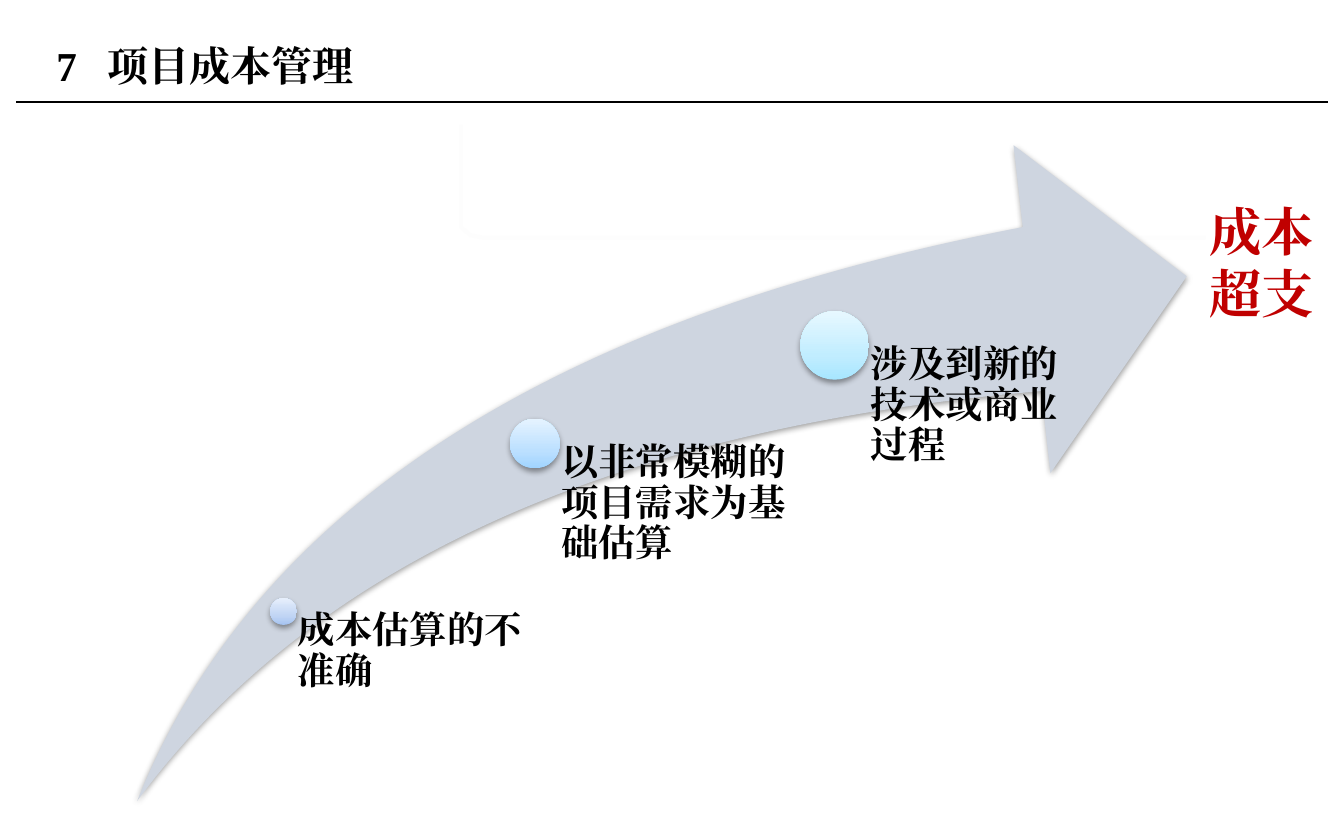
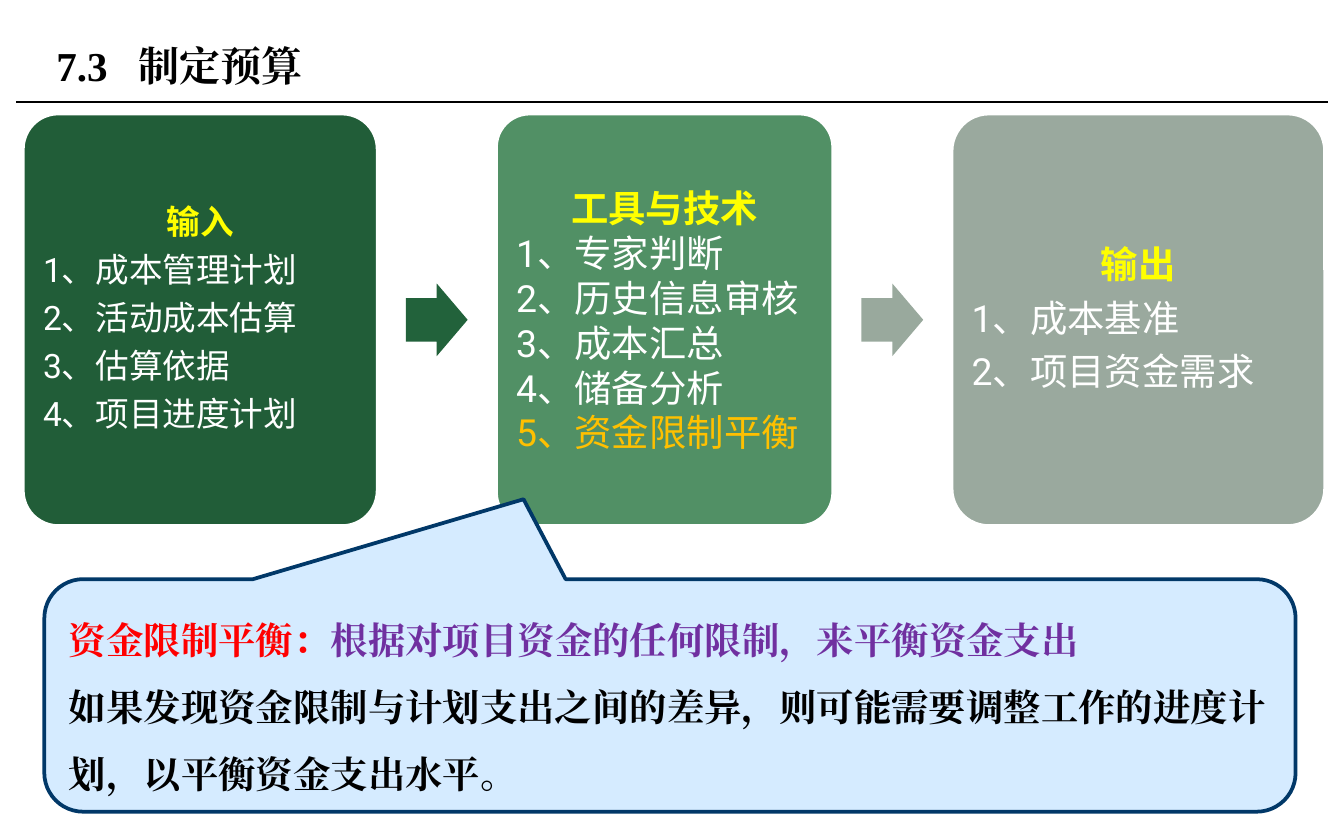
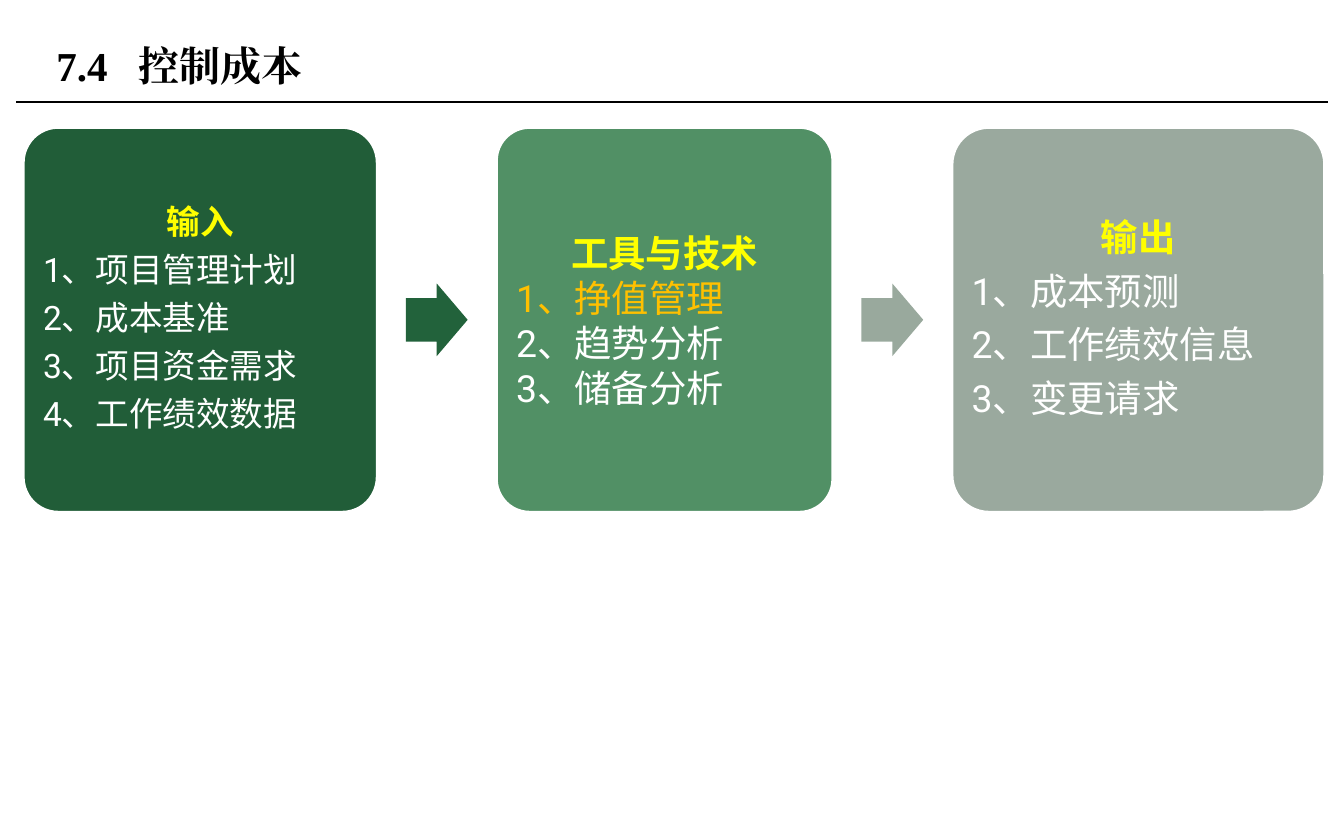
"""Build three slides on project cost management."""
from copy import deepcopy
from dataclasses import dataclass

from lxml.etree import SubElement
from pptx import Presentation
from pptx.dml.color import RGBColor
from pptx.enum.lang import MSO_LANGUAGE_ID
from pptx.enum.shapes import MSO_CONNECTOR, MSO_SHAPE
from pptx.enum.text import MSO_ANCHOR, PP_ALIGN
from pptx.oxml.ns import qn
from pptx.util import Inches, Pt

COLUMNS, ROWS = 100, 62.5
WIDTH, HEIGHT = Inches(10), Inches(6.25)


@dataclass(frozen=True)
class Theme:
    """Colours, fonts and type sizes of the presentation."""
    ink: str = "000000"
    paper: str = "FFFFFF"
    heading: str = "FFFF00"
    highlight: str = "FFC000"
    result: str = "C00000"
    term: str = "FF0000"
    definition: str = "7030A0"
    swoosh: str = "CED5E0"
    faint: str = "FDFDFD"
    callout: str = "D5EBFF"
    callout_line: str = "013868"
    panels: tuple = ("215D38", "519065", "9AA99E")
    arrows: tuple = ("22623B", "99A99D")
    serif: str = "Times New Roman"
    sans: str = "Roboto"
    title_size: int = 22
    text_size: int = 20
    small_size: int = 18
    result_size: int = 28


@dataclass(frozen=True)
class Panel:
    """Width and type setting of one panel in a process."""
    width: float
    size: int
    line_spacing: float
    space_share: float


THEME = Theme()
PANELS = (
    Panel(26.4, THEME.small_size, 0.9, 0.35),
    Panel(25.1, THEME.text_size, 1, 0),
    Panel(27.8, THEME.text_size, 0.9, 0.35),
)


class Deck:
    """Holds the style and the current slide, and draws on a grid."""

    def __init__(self, theme):
        """Start an empty presentation."""
        self.theme = theme
        self.presentation = Presentation()
        self.presentation.slide_width = WIDTH
        self.presentation.slide_height = HEIGHT
        self.slide = None

    def place(self, left, top, width, height):
        """Turn columns and rows into lengths."""
        return (int(left * WIDTH / COLUMNS), int(top * HEIGHT / ROWS),
                int(width * WIDTH / COLUMNS), int(height * HEIGHT / ROWS))

    def start(self, number, name, tab):
        """Add a slide with its numbered title and rule."""
        layout = self.presentation.slide_layouts[5]
        self.slide = self.presentation.slides.add_slide(layout)
        self.rule(1.2, 98.8, 7.6)
        title = self.slide.shapes.title
        title.left, title.top, title.width, title.height = self.place(3.2, 1.3, 63.8, 7.1)
        frame = title.text_frame
        frame.vertical_anchor = MSO_ANCHOR.MIDDLE
        tabs = SubElement(frame.paragraphs[0]._p.get_or_add_pPr(), qn("a:tabLst"))
        SubElement(tabs, qn("a:tab"), pos=str(Inches(tab)), algn="l")
        self.paragraph(frame, [(f"{number}\t{name}", self.theme.ink, True)],
                       self.theme.title_size)

    def rule(self, left, right, top):
        """Draw a thin horizontal line."""
        x, y, length, _ = self.place(left, top, right - left, 0)
        line = self.slide.shapes.add_connector(MSO_CONNECTOR.STRAIGHT, x, y, x + length, y)
        line.line.color.rgb = RGBColor.from_string(self.theme.ink)
        line.line.width = Pt(0.75)
        SubElement(line._element.spPr, qn("a:effectLst"))

    def outline(self, points, color, width):
        """Draw an open line through grid points."""
        corners = [self.place(x, y, 0, 0)[:2] for x, y in points]
        builder = self.slide.shapes.build_freeform(*corners[0])
        builder.add_line_segments(corners[1:], close=False)
        shape = builder.convert_to_shape()
        shape.shadow.inherit = False
        shape.fill.background()
        shape.line.color.rgb = RGBColor.from_string(color)
        shape.line.width = Pt(width)

    def shape(self, kind, box, fill, line=None, adjustments=()):
        """Draw a preset shape with a flat fill."""
        shape = self.slide.shapes.add_shape(kind, *self.place(*box))
        shape.shadow.inherit = False
        for index, value in enumerate(adjustments):
            shape.adjustments[index] = value
        shape.fill.solid()
        shape.fill.fore_color.rgb = RGBColor.from_string(fill)
        if line:
            shape.line.color.rgb = RGBColor.from_string(line)
            shape.line.width = Pt(2)
        else:
            shape.line.fill.background()
        return shape

    def soft_shadow(self, shape):
        """Give a shape a soft shadow below it."""
        effects = shape._element.spPr.find(qn("a:effectLst"))
        shadow = SubElement(effects, qn("a:outerShdw"), blurRad=str(Pt(3.1)),
                            dist=str(Pt(1.6)), dir="5400000", rotWithShape="0")
        color = SubElement(shadow, qn("a:srgbClr"), val=self.theme.ink)
        SubElement(color, qn("a:alpha"), val="38000")

    def ball(self, center_x, center_y, size, colors):
        """Draw a shaded ball around a centre."""
        box = (center_x - size / 2, center_y - size / 2, size, size)
        shape = self.shape(MSO_SHAPE.OVAL, box, colors[0])
        shape.fill.gradient()
        stops = shape._element.spPr.find(qn("a:gradFill")).find(qn("a:gsLst"))
        stops.append(deepcopy(stops[0]))
        for stop, position, color in zip(shape.fill.gradient_stops, (0, 0.35, 1), colors):
            stop.position = position
            stop.color.rgb = RGBColor.from_string(color)
        shape.fill.gradient_angle = 90
        self.soft_shadow(shape)

    def text(self, box, insets=(1, 0.5, 1, 0.5), anchor=MSO_ANCHOR.TOP):
        """Add an empty wrapping text box and return its frame."""
        frame = self.slide.shapes.add_textbox(*self.place(*box)).text_frame
        frame.word_wrap = True
        frame.vertical_anchor = anchor
        left, top, right, bottom = insets
        frame.margin_left, frame.margin_top, frame.margin_right, frame.margin_bottom = (
            *self.place(left, top, right, bottom),)
        return frame

    def paragraph(self, frame, runs, size, font=None, align=PP_ALIGN.LEFT,
                  line_spacing=None, space_share=0):
        """Write runs of text, colour and weight as the next paragraph."""
        paragraph = frame.paragraphs[0]
        if paragraph.runs:
            paragraph = frame.add_paragraph()
        paragraph.alignment = align
        if line_spacing:
            paragraph.line_spacing = line_spacing
        if space_share:
            paragraph.space_after = Pt(size * space_share)
        name = font or self.theme.serif
        for words, color, bold in runs:
            run = paragraph.add_run()
            run.text = words
            run.font.size = Pt(size)
            run.font.bold = bold
            run.font.name = name
            run.font.color.rgb = RGBColor.from_string(color)
            run.font.language_id = MSO_LANGUAGE_ID.SIMPLIFIED_CHINESE
            SubElement(run.font._element, qn("a:ea"), typeface=name)

    def panel(self, left, top, height, panel, fill, heading, items, marked):
        """Draw a rounded panel with a heading and numbered items."""
        theme = self.theme
        self.shape(MSO_SHAPE.ROUNDED_RECTANGLE, (left, top, panel.width, height),
                   fill, theme.paper, (0.1,))
        frame = self.text((left + 0.75, top + 0.75, panel.width - 1.5, height - 1.5),
                          (0.75,) * 4, MSO_ANCHOR.MIDDLE)
        spacing = (panel.line_spacing, panel.space_share)
        self.paragraph(frame, [(heading, theme.heading, True)], panel.size, theme.sans,
                       PP_ALIGN.CENTER, *spacing)
        for number, item in enumerate(items, 1):
            color = theme.highlight if item == marked else theme.paper
            self.paragraph(frame, [(f"{number}、{item}", color, False)], panel.size,
                           theme.sans, PP_ALIGN.LEFT, *spacing)

    def process(self, height, columns, marked):
        """Lay out panels from left to right with arrows between them."""
        left, middle, gap = 1.7, 23.8, 2.1
        arrow_width, arrow_height = 4.6, 5.4
        headings = ("输入", "工具与技术", "输出")
        for index, (panel, heading, items) in enumerate(zip(PANELS, headings, columns)):
            if index:
                self.shape(MSO_SHAPE.RIGHT_ARROW,
                           (left + gap, middle - arrow_height / 2, arrow_width, arrow_height),
                           self.theme.arrows[index - 1], adjustments=(0.6, 0.5))
                left += arrow_width + 2 * gap
            self.panel(left, middle - height / 2, height, panel,
                       self.theme.panels[index], heading, items, marked)
            left += panel.width


def overrun_slide(deck):
    """Show the causes that lead to a cost overrun."""
    theme = deck.theme
    deck.start("7", "项目成本管理", 0.38)
    deck.outline([(89.7, 17.7), (36, 17.7), (35, 17.5), (34.3, 16.9), (34.3, 9.3)],
                 theme.faint, 2)
    swoosh = deck.shape(MSO_SHAPE.SWOOSH_ARROW, (10.2, 10.8, 78.1, 48.8), theme.swoosh,
                        adjustments=(0.25, 0.25))
    deck.soft_shadow(swoosh)
    causes = (
        (21.1, 45.5, 2, 18.2, "成本估算的不准确", ("A6C4F1", "C1D5F4", "E7EFFC")),
        (39.8, 33, 3.7, 18.7, "以非常模糊的项目需求为基础估算", ("A0D4FF", "BCE0FF", "E5F3FF")),
        (62.1, 25.7, 5.1, 18.7, "涉及到新的技术或商业过程", ("A7E6FF", "C1EDFF", "E7F8FF")),
    )
    for x, y, size, width, cause, colors in causes:
        deck.ball(x, y, size, colors)
        frame = deck.text((x, y, width, 59.6 - y), (size * 0.53, 0, 0, 0))
        deck.paragraph(frame, [(cause, theme.ink, True)], theme.text_size,
                       line_spacing=0.9, space_share=0.35)
    frame = deck.text((89, 14.3, 10.4, 10.4))
    deck.paragraph(frame, [("成本超支", theme.result, True)], theme.result_size)


def budget_slide(deck):
    """Show the budgeting process and explain one technique."""
    theme = deck.theme
    deck.start("7.3", "制定预算", 0.61)
    deck.process(30.7, (
        ("成本管理计划", "活动成本估算", "估算依据", "项目进度计划"),
        ("专家判断", "历史信息审核", "成本汇总", "储备分析", "资金限制平衡"),
        ("成本基准", "项目资金需求"),
    ), "资金限制平衡")
    callout = deck.shape(MSO_SHAPE.ROUNDED_RECTANGULAR_CALLOUT, (3.3, 43.1, 93.1, 17.3),
                         theme.callout, theme.callout_line, (-0.117, -0.844, 0.167))
    frame = callout.text_frame
    frame.word_wrap = True
    frame.vertical_anchor = MSO_ANCHOR.MIDDLE
    explanation = (
        [("资金限制平衡：", theme.term, True),
         ("根据对项目资金的任何限制，来平衡资金支出", theme.definition, True)],
        [("如果发现资金限制与计划支出之间的差异，则可能需要调整工作的进度计划，"
          "以平衡资金支出水平。", theme.ink, True)],
    )
    for runs in explanation:
        deck.paragraph(frame, runs, theme.text_size, line_spacing=1.5)


def control_slide(deck):
    """Show the cost control process."""
    deck.start("7.4", "控制成本", 0.61)
    deck.process(28.7, (
        ("项目管理计划", "成本基准", "项目资金需求", "工作绩效数据"),
        ("挣值管理", "趋势分析", "储备分析"),
        ("成本预测", "工作绩效信息", "变更请求"),
    ), "挣值管理")


def main():
    """Build the slides and save them."""
    deck = Deck(THEME)
    for build in (overrun_slide, budget_slide, control_slide):
        build(deck)
    deck.presentation.save("out.pptx")


if __name__ == "__main__":
    main()
